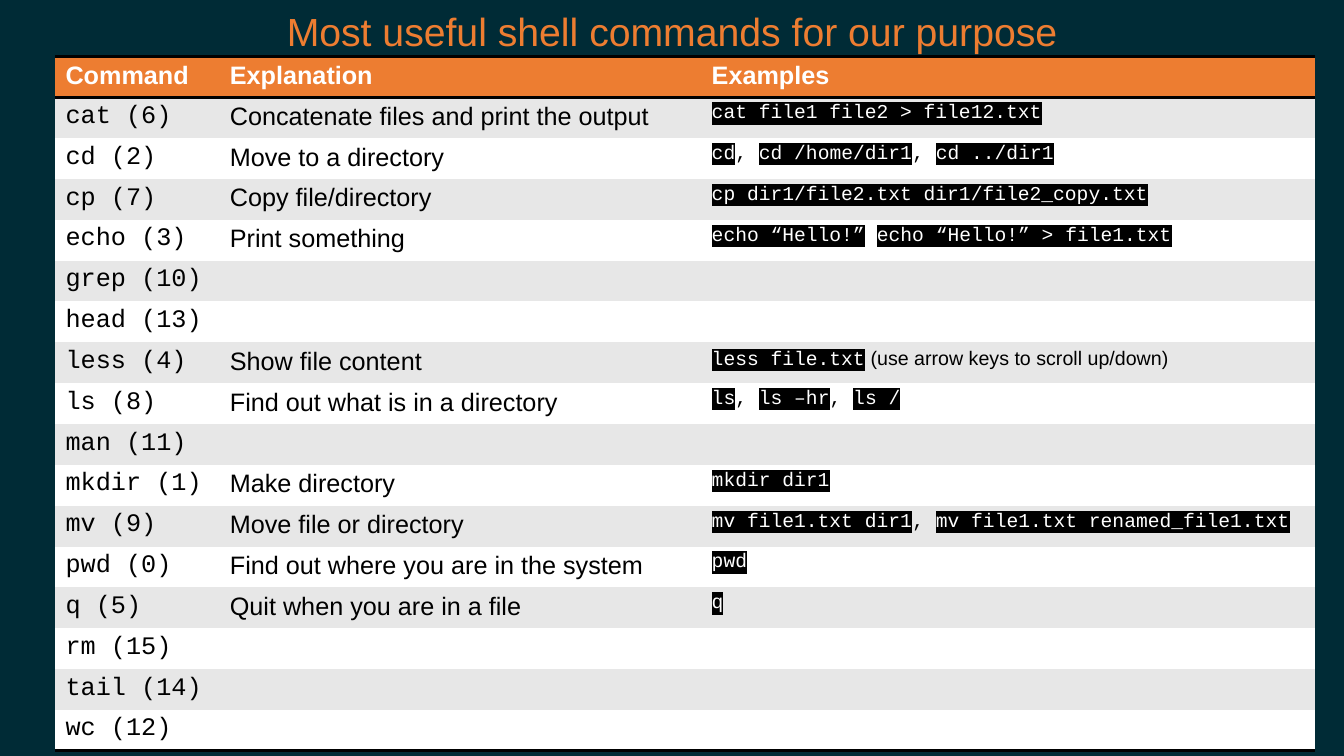
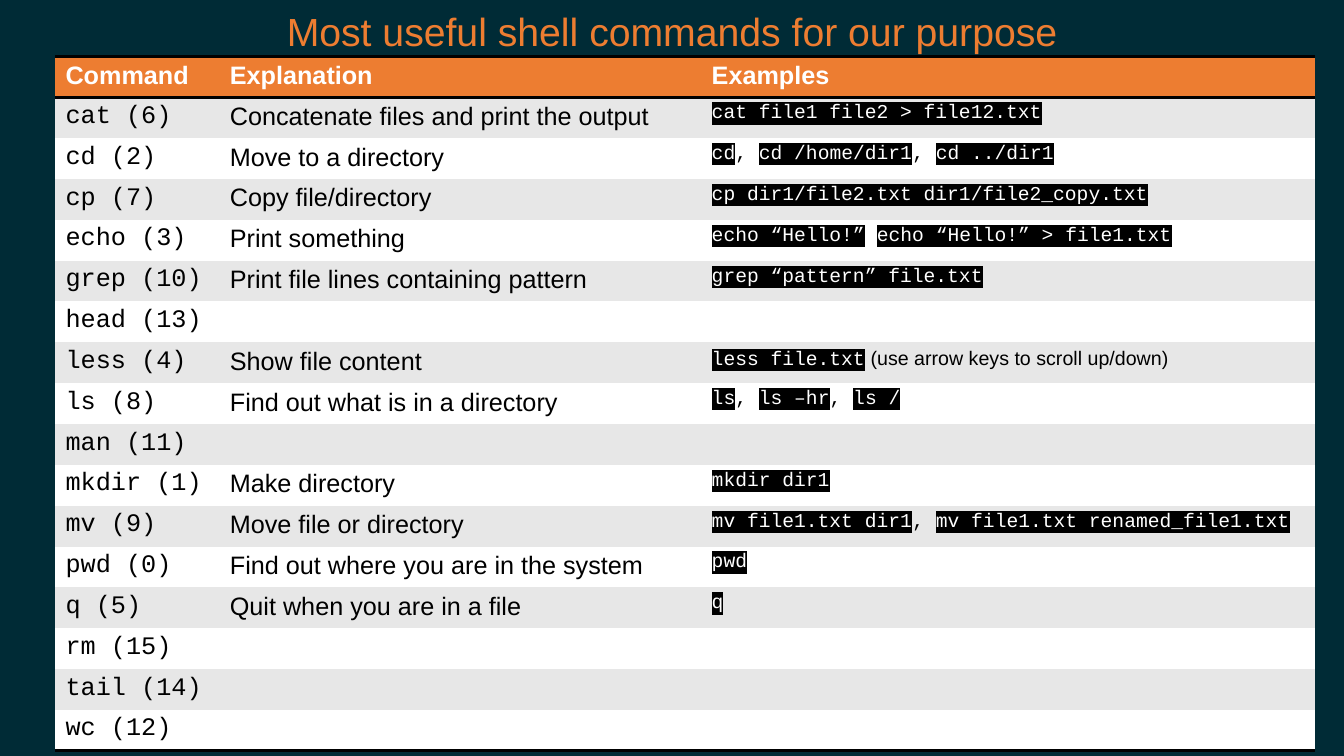
from dataclasses import dataclass

from lxml import etree
from pptx import Presentation
from pptx import util as u
from pptx.dml.color import RGBColor
from pptx.enum import text
from pptx.oxml import ns


@dataclass(frozen=True)
class Theme:
    background: str = "002B36"
    accent: str = "ED7D31"
    ink: str = "000000"
    paper: str = "FFFFFF"
    band: str = "E7E7E7"
    body_font: str = "Arial"
    code_font: str = "Courier New"
    title_size: int = 28
    table_size: int = 18
    example_size: int = 14
    rule_width: int = 2
    plain_table: str = "{2D5ABB26-0587-4C30-8999-92F81FD0307C}"


TITLE = "Most useful shell commands for our purpose"
HEADINGS = ("Command", "Explanation", "Examples")
COLUMN_SHARES = (12.23, 35.85, 45.6)
UNEXPLAINED = ("", "")
COMMANDS = {
    "cat (6)": ("Concatenate files and print the output", "`cat file1 file2 > file12.txt`"),
    "cd (2)": ("Move to a directory", "`cd`, `cd /home/dir1`, `cd ../dir1`"),
    "cp (7)": ("Copy file/directory", "`cp dir1/file2.txt dir1/file2_copy.txt`"),
    "echo (3)": ("Print something", "`echo “Hello!”` `echo “Hello!” > file1.txt`"),
    "grep (10)": UNEXPLAINED,
    "head (13)": UNEXPLAINED,
    "less (4)": ("Show file content", "`less file.txt` (use arrow keys to scroll up/down)"),
    "ls (8)": ("Find out what is in a directory", "`ls`, `ls –hr`, `ls /`"),
    "man (11)": UNEXPLAINED,
    "mkdir (1)": ("Make directory", "`mkdir dir1`"),
    "mv (9)": ("Move file or directory", "`mv file1.txt dir1`, `mv file1.txt renamed_file1.txt`"),
    "pwd (0)": ("Find out where you are in the system", "`pwd`"),
    "q (5)": ("Quit when you are in a file", "`q`"),
    "rm (15)": UNEXPLAINED,
    "tail (14)": UNEXPLAINED,
    "wc (12)": UNEXPLAINED,
}
GREP_ANSWER = {
    "grep (10)": ("Print file lines containing pattern", "`grep “pattern” file.txt`"),
}


class Deck:
    def __init__(self, theme):
        self.theme = theme
        self.presentation = Presentation()
        self.presentation.slide_width = u.Inches(13.33)
        self.presentation.slide_height = u.Inches(7.5)
        self.fill(self.presentation.slide_master.background, theme.background)
        self.slide = None

    def across(self, percent):
        return round(self.presentation.slide_width * percent / 100)

    def down(self, percent):
        return round(self.presentation.slide_height * percent / 100)

    def add_slide(self):
        self.slide = self.presentation.slides.add_slide(self.presentation.slide_layouts[6])

    def fill(self, target, color):
        fill = target.fill
        fill.solid()
        fill.fore_color.rgb = RGBColor.from_string(color)

    def style(self, font, size, color, name=None, bold=False):
        font.name = name or self.theme.body_font
        font.size = u.Pt(size)
        font.bold = bold
        font.color.rgb = RGBColor.from_string(color)

    def title(self, words):
        box = self.slide.shapes.add_textbox(0, self.down(0.27), self.across(100), self.down(7.6))
        frame = box.text_frame
        frame.word_wrap = True
        frame.auto_size = text.MSO_AUTO_SIZE.SHAPE_TO_FIT_TEXT
        paragraph = frame.paragraphs[0]
        paragraph.text = words
        paragraph.alignment = text.PP_ALIGN.CENTER
        self.style(paragraph.font, self.theme.title_size, self.theme.accent)

    def rule(self, cell, side):
        properties = cell._tc.get_or_add_tcPr()
        line = etree.SubElement(properties, ns.qn(f"a:{side}"), w=str(u.Pt(self.theme.rule_width)))
        fill = etree.SubElement(line, ns.qn("a:solidFill"))
        etree.SubElement(fill, ns.qn("a:srgbClr"), val=self.theme.ink)

    def cell_text(self, cell, words, color, name=None, bold=False):
        paragraph = cell.text_frame.paragraphs[0]
        paragraph.text = words
        self.style(paragraph.font, self.theme.table_size, color, name, bold)

    def highlight(self, run):
        properties = run._r.get_or_add_rPr()
        mark = etree.Element(ns.qn("a:highlight"))
        etree.SubElement(mark, ns.qn("a:srgbClr"), val=self.theme.ink)
        properties.find(ns.qn("a:solidFill")).addnext(mark)

    def cell_example(self, cell, example):
        theme = self.theme
        paragraph = cell.text_frame.paragraphs[0]
        for index, words in enumerate(example.split("`")):
            if not words:
                continue
            is_code = index % 2 == 1
            is_note = not is_code and words.strip(", ")
            run = paragraph.add_run()
            run.text = words
            self.style(run.font, theme.example_size, theme.paper if is_code else theme.ink,
                       theme.body_font if is_note else theme.code_font)
            if is_code:
                self.highlight(run)

    def command_table(self, commands):
        theme = self.theme
        frame = self.slide.shapes.add_table(
            len(commands) + 1, len(HEADINGS), self.across(4.13), self.down(7.47),
            self.across(sum(COLUMN_SHARES)), self.down(91.87))
        table = frame.table
        table.horz_banding = False
        table._tbl.tblPr.find(ns.qn("a:tableStyleId")).text = theme.plain_table
        for column, share in zip(table.columns, COLUMN_SHARES):
            column.width = self.across(share)

        for cell, heading in zip(table.rows[0].cells, HEADINGS):
            self.rule(cell, "lnT")
            self.rule(cell, "lnB")
            self.fill(cell, theme.accent)
            self.cell_text(cell, heading, theme.paper, bold=True)

        for number, (command, (explanation, example)) in enumerate(commands.items(), 1):
            cells = list(table.rows[number].cells)
            for cell in cells:
                if number == len(commands):
                    self.rule(cell, "lnB")
                self.fill(cell, theme.band if number % 2 else theme.paper)
            self.cell_text(cells[0], command, theme.ink, theme.code_font)
            if explanation:
                self.cell_text(cells[1], explanation, theme.ink)
                self.cell_example(cells[2], example)


def main():
    deck = Deck(Theme())
    for commands in (COMMANDS, COMMANDS | GREP_ANSWER):
        deck.add_slide()
        deck.title(TITLE)
        deck.command_table(commands)
    deck.presentation.save("out.pptx")


if __name__ == "__main__":
    main()
